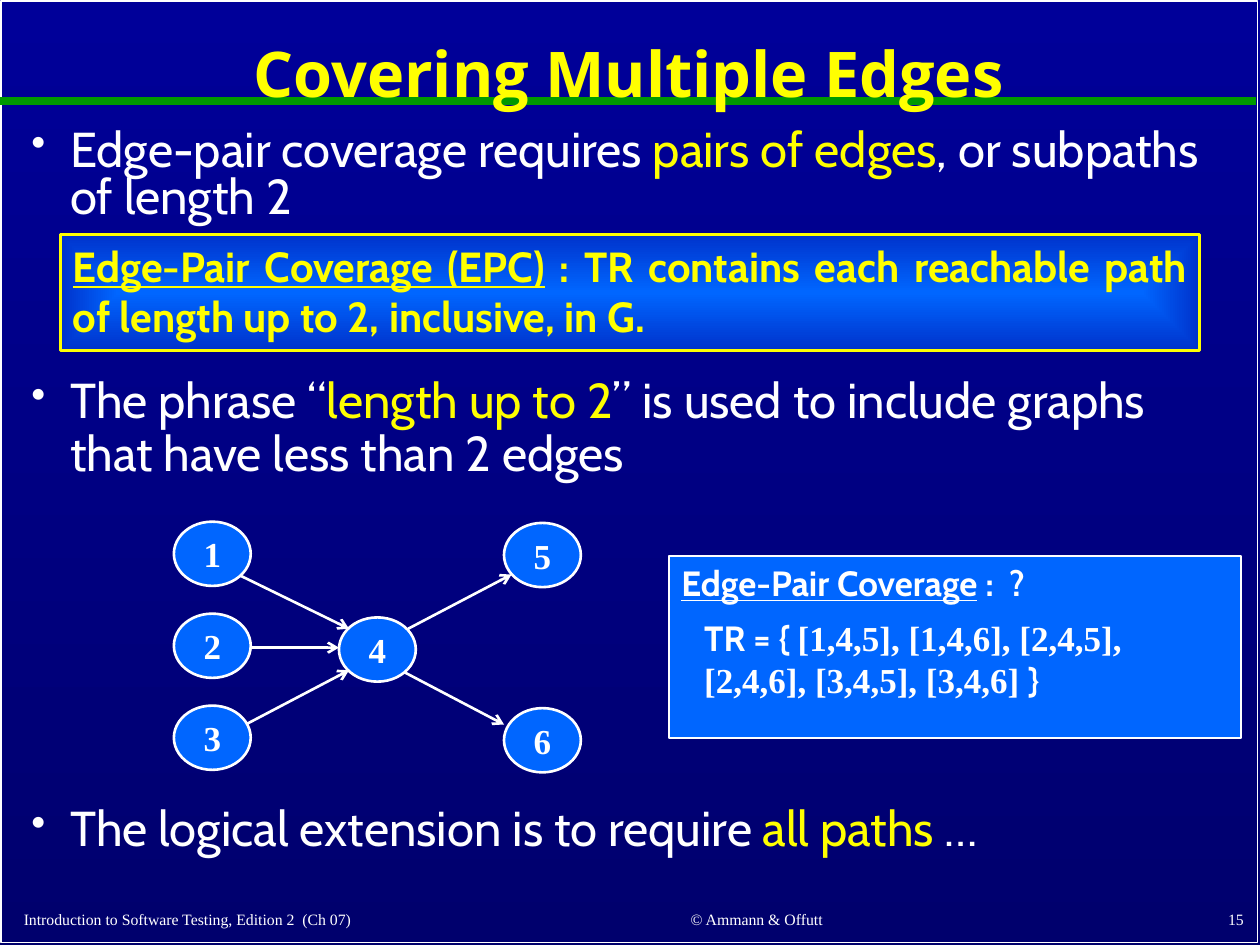
import pptx
import pptx.util
import pptx.dml.color
import pptx.enum.shapes
import pptx.enum.text
import pptx.oxml.ns
import lxml.etree

Inches = pptx.util.Inches
Pt = pptx.util.Pt
qn = pptx.oxml.ns.qn
ALIGN = pptx.enum.text.PP_ALIGN
ANCHOR = pptx.enum.text.MSO_ANCHOR
SHAPE = pptx.enum.shapes.MSO_SHAPE

COLORS = {"white": "FFFFFF", "yellow": "FFFF00", "green": "009900",
          "blue": "0066FF", "deep": "0033CC", "sky": "000099", "night": "00006D"}
SERIF, BODY, HEAD = "Times New Roman", "Cabin", "Open Sans"


def rgb(name):
    """Look up a named colour."""
    return pptx.dml.color.RGBColor.from_string(COLORS[name])


def child(parent, tag, **attributes):
    """Append a drawing element to an XML parent."""
    element = lxml.etree.SubElement(parent, qn(tag))
    for key, value in attributes.items():
        element.set(key, str(value))
    return element


class SlideBuilder:
    """Style and current slide, with one method per kind of element."""

    def __init__(self, deck):
        """Add a title-only slide with a vertical gradient background."""
        self.page = deck.slides.add_slide(deck.slide_layouts[5])
        fill = self.page.background.fill
        fill.gradient()
        fill.gradient_angle = 270
        for stop, position, color in zip(fill.gradient_stops, (0, 1), ("sky", "night")):
            stop.position = position
            stop.color.rgb = rgb(color)

    def set_text(self, shape, spans, size, font=BODY, color="white", bold=False,
                 align=ALIGN.LEFT, anchor=ANCHOR.TOP, wrap=True, spacing=None):
        """Fill a shape with one paragraph; a span is (text, overrides)."""
        frame = shape.text_frame
        frame.word_wrap = wrap
        frame.vertical_anchor = anchor
        para = frame.paragraphs[0]
        para.alignment = align
        if spacing:
            para.line_spacing = spacing
        for text, style in spans:
            span = para.add_run()
            span.text = text
            span.font.size = Pt(size)
            span.font.name = style.get("font", font)
            span.font.bold = bold
            span.font.underline = style.get("underline", False)
            span.font.color.rgb = rgb(style.get("color", color))
        return para

    def title(self, text, place):
        """Place and format the title placeholder."""
        box = self.page.shapes.title
        box.left, box.top, box.width, box.height = map(Inches, place)
        self.set_text(box, [(text, {})], 36, HEAD, "yellow", True,
                      ALIGN.CENTER, ANCHOR.MIDDLE, spacing=0.9)

    def text(self, place, spans, size, **style):
        """Add a text box."""
        box = self.page.shapes.add_textbox(*map(Inches, place))
        return self.set_text(box, spans, size, **style)

    def bullet(self, place, spans, spacing=0.9):
        """Add a bulleted statement with a hanging indent."""
        para = self.text(place, spans, 28, spacing=spacing)
        properties = para._p.get_or_add_pPr()
        properties.set("marL", str(Inches(0.31)))
        properties.set("indent", str(-Inches(0.31)))
        child(child(properties, "a:spcBef"), "a:spcPct", val=30000)
        child(properties, "a:buSzPct", val=85000)
        child(properties, "a:buChar", char="•")

    def shape(self, kind, place, fill=None, line="white", width=1.5):
        """Add a preset shape with an outline."""
        shape = self.page.shapes.add_shape(kind, *map(Inches, place))
        shape.shadow.inherit = False
        if fill:
            shape.fill.solid()
            shape.fill.fore_color.rgb = rgb(fill)
        else:
            shape.fill.background()
        shape.line.color.rgb = rgb(line)
        shape.line.width = Pt(width)
        return shape

    def glow(self, shape, inner, outer):
        """Give a shape a gradient that follows its outline."""
        shape.fill.gradient()
        for stop, color in zip(shape.fill.gradient_stops, (inner, outer)):
            stop.color.rgb = rgb(color)
        gradient = shape._element.spPr.find(qn("a:gradFill"))
        gradient.remove(gradient.find(qn("a:lin")))
        center = child(gradient, "a:path", path="shape")
        child(center, "a:fillToRect", l=50000, t=50000, r=50000, b=50000)

    def line(self, start, end, color="white", width=1.5, arrow=False):
        """Add a straight line, with an arrowhead at its end if wanted."""
        line = self.page.shapes.add_connector(
            pptx.enum.shapes.MSO_CONNECTOR.STRAIGHT, *map(Inches, start + end))
        line.line.color.rgb = rgb(color)
        line.line.width = Pt(width)
        if arrow:
            child(line.line._get_or_add_ln(), "a:tailEnd", type="arrow")
        child(line._element.spPr, "a:effectLst")

    def node(self, label, left, top):
        """Add a numbered graph node."""
        oval = self.shape(SHAPE.OVAL, (left, top, 0.61, 0.51), "blue")
        self.set_text(oval, [(label, {})], 20, SERIF, bold=True, align=ALIGN.CENTER,
                      anchor=ANCHOR.MIDDLE, wrap=False)


def main():
    """Build the slide and save it."""
    deck = pptx.Presentation()
    deck.slide_width, deck.slide_height = Inches(10), Inches(7.5)
    slide = SlideBuilder(deck)
    yellow, underline = {"color": "yellow"}, {"underline": True}

    slide.shape(SHAPE.RECTANGLE, (0.01, 0.01, 9.97, 7.47), width=1)
    slide.line((0, 0.8), (9.97, 0.8), "green", 4.5)
    # The title placeholder comes first, so it is raised above the rule.
    title = slide.page.shapes.title._element
    title.getparent().append(title)
    slide.title("Covering Multiple Edges", (0.09, 0.11, 9.8, 1))

    footers = [
        ("Introduction to Software Testing, Edition 2  (Ch 07)", 0.09, 4.12, ALIGN.LEFT),
        ("© Ammann & Offutt", 4.42, 3.17, ALIGN.CENTER),
        ("15", 7.89, 2.08, ALIGN.RIGHT)]
    for text, left, width, align in footers:
        slide.text((left, 7.12, width, 0.3), [(text, {})], 9, font=SERIF,
                   align=align, anchor=ANCHOR.BOTTOM)

    slide.bullet((0.15, 0.98, 9.7, 0.73), [
        ("Edge-pair coverage requires ", {}), ("pairs of edges", yellow),
        (", or subpaths of length 2", {})], spacing=0.8)
    slide.bullet((0.15, 2.94, 9.7, 0.83), [
        ("The phrase “", {}), ("length up to 2", yellow),
        ("” is used to include graphs that have less than 2 edges", {})])
    slide.bullet((0.15, 6.33, 9.7, 0.48), [
        ("The logical extension is to require ", {}), ("all paths", yellow), (" …", {})])

    definition = slide.shape(SHAPE.RECTANGLE, (0.48, 1.86, 9.04, 0.92), line="yellow")
    slide.glow(definition, "blue", "deep")
    slide.set_text(definition, [
        ("Edge-Pair Coverage (EPC)", underline),
        (" : TR contains each reachable path of length up to 2, inclusive, in G.", {})],
        24, color="yellow", bold=True, align=ALIGN.JUSTIFY)

    edges = [((1.89, 4.56), (2.77, 4.99)), ((1.99, 5.14), (2.69, 5.14)),
             ((1.95, 5.75), (2.77, 5.32)), ((3.24, 4.99), (4.06, 4.56)),
             ((3.18, 5.32), (4, 5.75))]
    for start, end in edges:
        slide.line(start, end, arrow=True)
    nodes = [("1", 1.38, 4.14), ("2", 1.38, 4.87), ("3", 1.38, 5.6),
             ("4", 2.69, 4.9), ("5", 4, 4.15), ("6", 4, 5.62)]
    for label, left, top in nodes:
        slide.node(label, left, top)

    answer = slide.shape(SHAPE.RECTANGLE, (5.31, 4.41, 4.54, 1.45), "blue", width=1)
    slide.set_text(answer, [("Edge-Pair Coverage", underline), (" :  ?", {})],
                   20, bold=True)
    slide.text((5.49, 4.84, 4.03, 0.77), [
        ("TR = { ", {}),
        ("[1,4,5], [1,4,6], [2,4,5], [2,4,6], [3,4,5], [3,4,6] ", {"font": SERIF}),
        ("}", {})], 20, bold=True)

    deck.save("out.pptx")


main()
